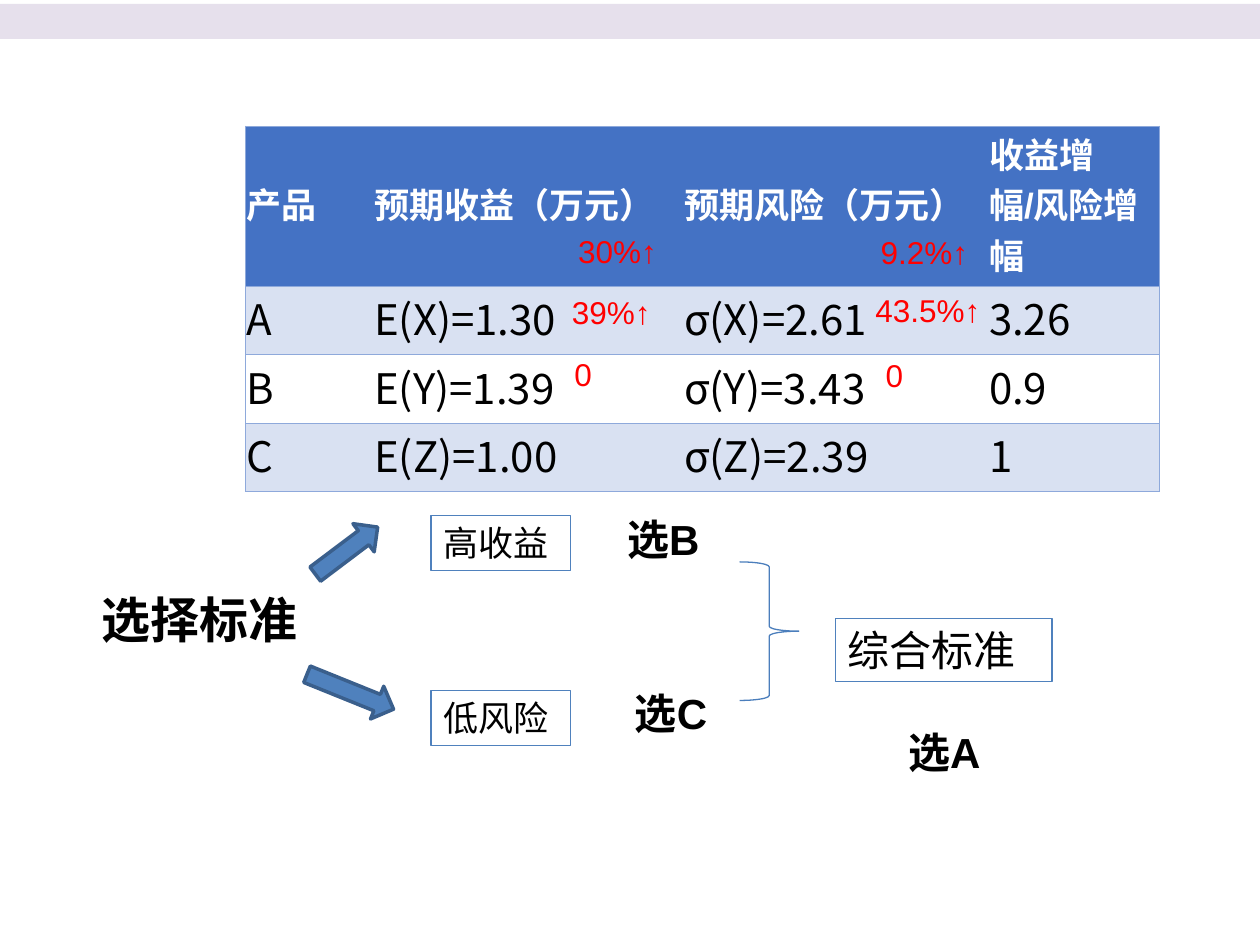
import lxml.etree
import pptx
import pptx.dml.color
import pptx.enum.shapes
import pptx.enum.text
import pptx.oxml.ns
import pptx.util

SHAPE = pptx.enum.shapes.MSO_SHAPE
ANCHOR = pptx.enum.text.MSO_ANCHOR
ALIGN = pptx.enum.text.PP_ALIGN
inches, points = pptx.util.Inches, pptx.util.Pt

# Content
PRODUCTS = [
    ("产品", "预期收益（万元）", "预期风险（万元）", "收益增幅/风险增幅"),
    ("A", "E(X)=1.30", "σ(X)=2.61", "3.26"),
    ("B", "E(Y)=1.39", "σ(Y)=3.43", "0.9"),
    ("C", "E(Z)=1.00", "σ(Z)=2.39", "1"),
]
# Wording, left, top, text style
LABELS = [
    ("选择标准", 0.71, 4.63, "heading"),
    ("选B", 4.88, 4.03, "choice"),
    ("选C", 4.94, 5.41, "choice"),
    ("选A", 7.11, 5.72, "choice"),
    ("0", 4.46, 2.77, "change"),
    ("0", 6.93, 2.78, "change"),
    ("39%↑", 4.44, 2.28, "change"),
    ("30%↑", 4.49, 1.79, "change"),
    ("43.5%↑", 6.85, 2.26, "change"),
    ("9.2%↑", 6.89, 1.80, "change"),
]
# Wording, left, top, width, height, text style
CRITERIA = [
    ("高收益", 3.42, 4.09, 1.11, 0.44, "criterion"),
    ("低风险", 3.42, 5.48, 1.11, 0.44, "criterion"),
    ("综合标准", 6.63, 4.91, 1.72, 0.50, "combined"),
]
# Left, top, width, height, rotation
ARROWS = [(2.44, 4.23, 0.62, 0.28, 323), (2.41, 5.35, 0.74, 0.28, 22)]
COLUMN_WIDTHS = [1.01, 2.46, 2.42, 1.36]
ROW_HEIGHTS = [0.73] + [0.51] * 3
LABEL_WIDTH = 3.33

# Theme
THEME = {
    "band": "E6E0EC", "header": "4472C4", "stripe": "D9E1F2", "grid": "8EA9DB",
    "arrow": "4F81BD", "arrow edge": "3A5F8C", "brace": "4B7EBC",
    "east asian": "Noto Sans CJK SC",
    "text": {  # size, colour, bold, font
        "table head": (20, "FFFFFF", True, "Arial"),
        "table body": (24, "000000", False, "Noto Sans CJK SC"),
        "heading": (28, "000000", True, "Arial"),
        "choice": (24, "000000", True, "Arial"),
        "criterion": (20, "000000", False, "Arial"),
        "combined": (24, "000000", False, "Arial"),
        "change": (18, "FF0000", False, "Arial"),
    },
}


def apply(target, formats):
    for name, value in formats.items():
        setattr(target, name, value)


def rgb(value):
    return pptx.dml.color.RGBColor.from_string(value)


def write(frame, wording, style):
    size, colour, bold, face = THEME["text"][style]
    paragraph = frame.paragraphs[0]
    paragraph.alignment = ALIGN.LEFT
    run = paragraph.add_run()
    run.text = wording
    apply(run.font, {"size": points(size), "bold": bold, "name": face})
    run.font.color.rgb = rgb(colour)
    east_asian = lxml.etree.SubElement(run.font._element, pptx.oxml.ns.qn("a:ea"))
    east_asian.set("typeface", THEME["east asian"])


def paint(part, colour):
    if colour:
        part.fill.solid()
        part.fill.fore_color.rgb = rgb(colour)
    else:
        part.fill.background()


def add_outline(slide, kind, place, fill=None, line=None, width=0.75):
    shape = slide.shapes.add_shape(kind, *map(inches, place))
    shape.shadow.inherit = False
    paint(shape, fill)
    paint(shape.line, line)
    if line:
        shape.line.width = points(width)
    return shape


def set_border(cell, side, shown):
    qn = pptx.oxml.ns.qn
    border = lxml.etree.SubElement(cell._tc.get_or_add_tcPr(), qn(f"a:ln{side}"))
    if shown:
        border.set("w", str(points(0.5)))
        fill = lxml.etree.SubElement(border, qn("a:solidFill"))
        lxml.etree.SubElement(fill, qn("a:srgbClr")).set("val", THEME["grid"])
    else:
        lxml.etree.SubElement(border, qn("a:noFill"))


def add_products(slide):
    rows, columns = len(PRODUCTS), len(COLUMN_WIDTHS)
    place = (1.95, 1, sum(COLUMN_WIDTHS), sum(ROW_HEIGHTS))
    table = slide.shapes.add_table(rows, columns, *map(inches, place)).table
    for column, width in zip(table.columns, COLUMN_WIDTHS):
        column.width = inches(width)
    for row, height in zip(table.rows, ROW_HEIGHTS):
        row.height = inches(height)
    margins = {f"margin_{side}": inches(0.01) for side in ("left", "right", "top")}
    for r, product in enumerate(PRODUCTS):
        fill = THEME["header"] if r == 0 else THEME["stripe"] if r % 2 else None
        for c, wording in enumerate(product):
            cell = table.cell(r, c)
            apply(cell, {**margins, "margin_bottom": inches(0.05),
                         "vertical_anchor": ANCHOR.MIDDLE})
            edges = {"L": c == 0, "R": c == columns - 1, "T": True, "B": True}
            for side, shown in edges.items():
                set_border(cell, side, shown)
            paint(cell, fill)
            write(cell.text_frame, wording, "table body" if r else "table head")


def main():
    deck = pptx.Presentation()
    apply(deck, {"slide_width": inches(10), "slide_height": inches(7.5)})
    slide = deck.slides.add_slide(deck.slide_layouts[6])

    # Top band and product table
    add_outline(slide, SHAPE.RECTANGLE, (0, 0.03, 10, 0.28), THEME["band"])
    add_products(slide)

    # Arrows, criteria and the brace that joins them
    for *place, rotation in ARROWS:
        arrow = add_outline(slide, SHAPE.RIGHT_ARROW, place,
                            THEME["arrow"], THEME["arrow edge"], 2)
        arrow.rotation = rotation
    for wording, *place, style in CRITERIA:
        box = add_outline(slide, SHAPE.RECTANGLE, place, line=THEME["arrow"])
        apply(box.text_frame, {"word_wrap": True, "vertical_anchor": ANCHOR.TOP})
        write(box.text_frame, wording, style)
    add_outline(slide, SHAPE.RIGHT_BRACE, (5.87, 4.46, 0.47, 1.1), line=THEME["brace"])

    # Choices and percentage changes
    for wording, left, top, style in LABELS:
        height = THEME["text"][style][0] / 60 + 0.1
        place = (left, top, LABEL_WIDTH, height)
        label = slide.shapes.add_textbox(*map(inches, place))
        label.text_frame.word_wrap = True
        write(label.text_frame, wording, style)

    deck.save("out.pptx")


if __name__ == "__main__":
    main()
